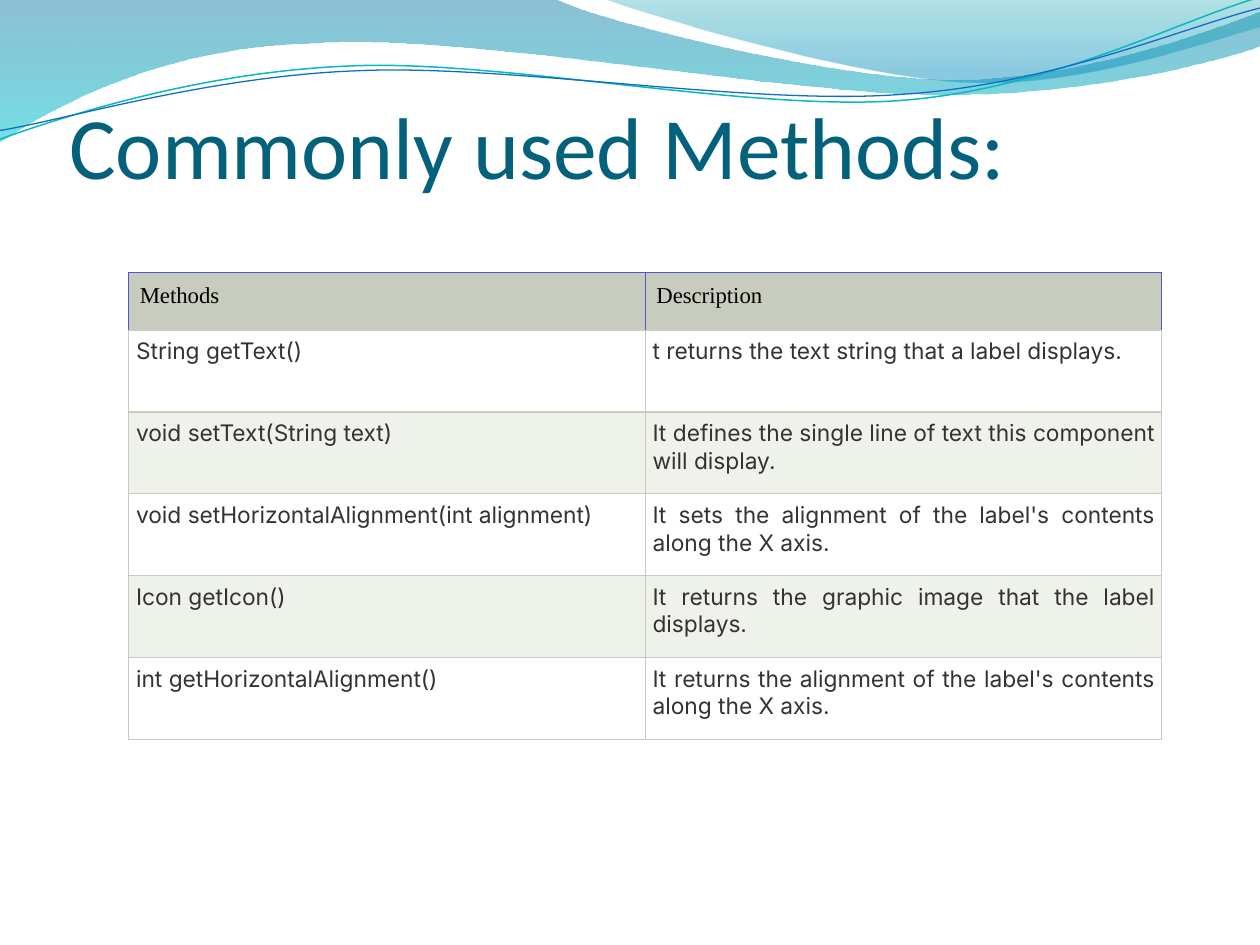
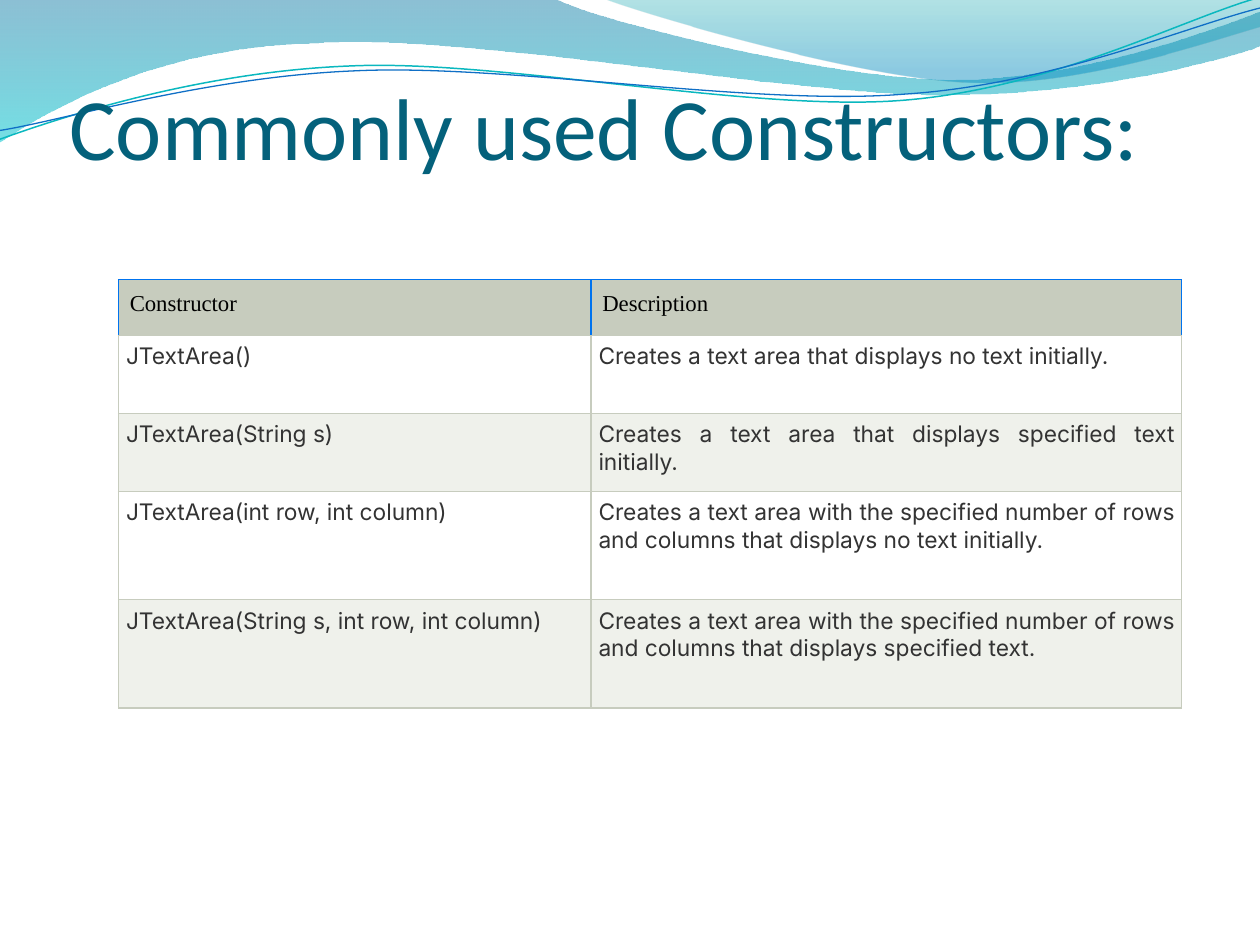
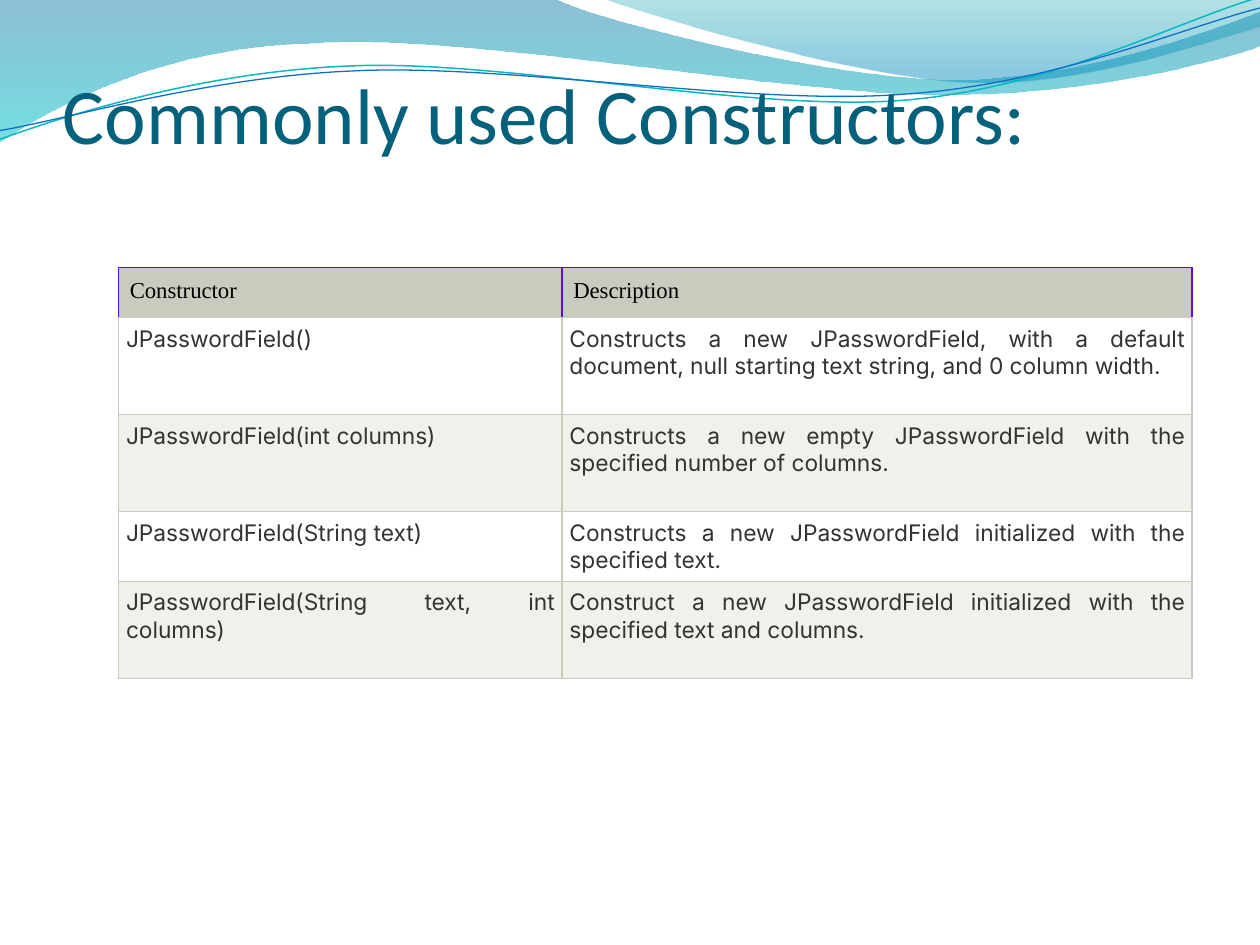
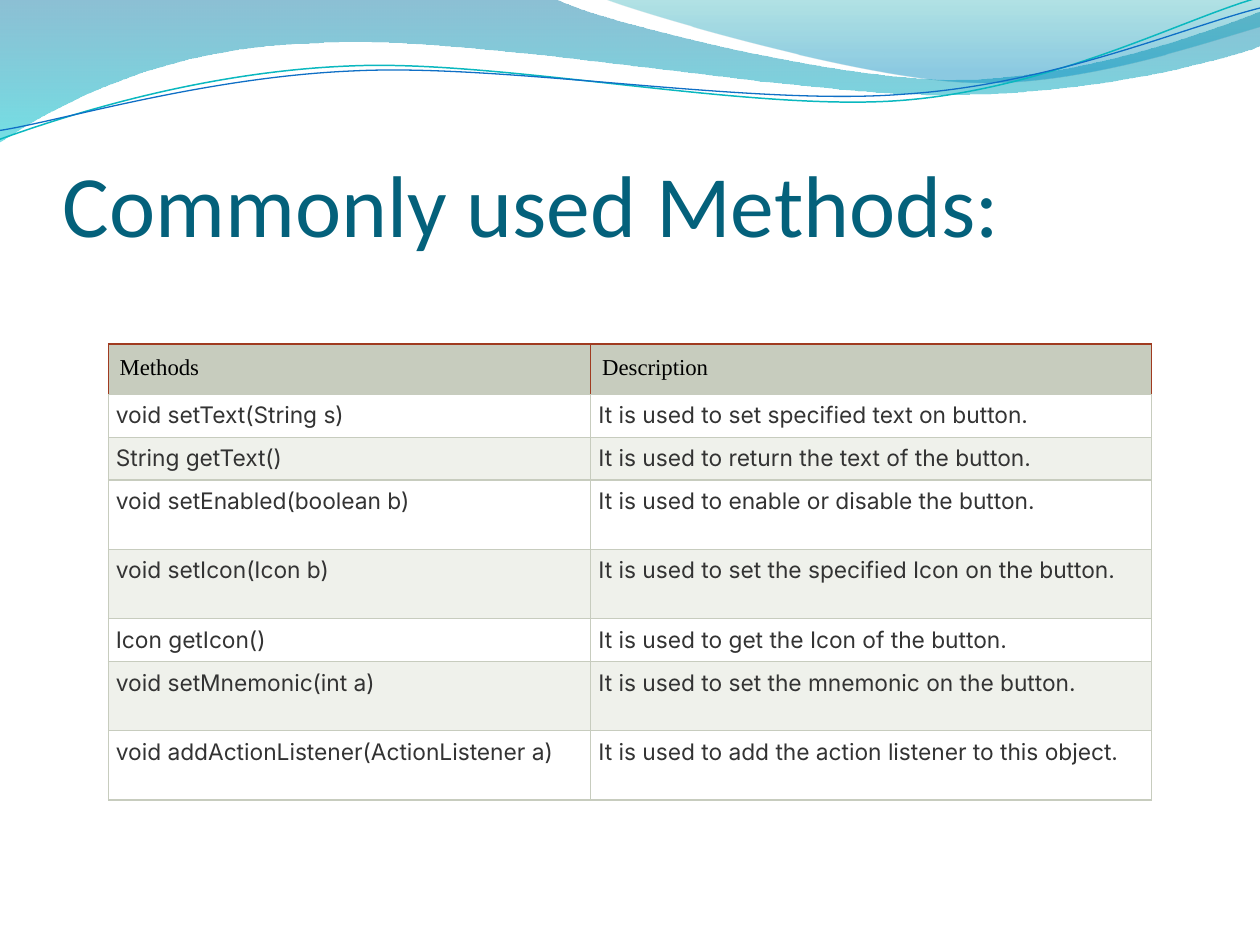
"""Build four slides of Swing method and constructor tables under a wave band."""
from dataclasses import dataclass

from lxml import etree
from pptx import Presentation
from pptx.dml.color import RGBColor
from pptx.enum.text import MSO_ANCHOR, PP_ALIGN
from pptx.oxml.ns import qn
from pptx.shapes.autoshape import Shape
from pptx.slide import Slide, SlideLayout
from pptx.table import _Cell
from pptx.util import Inches, Pt

BOTTOM = MSO_ANCHOR.BOTTOM
LEFT = PP_ALIGN.LEFT
JUSTIFY = PP_ALIGN.JUSTIFY

COLORS = {
    "title": "04617B",
    "header": "C7CCBE",
    "grid": "C7CCBE",
    "stripe": "EFF1EB",
    "plain": "FFFFFF",
    "header text": "000000",
    "body text": "333333",
    "deep blue": "0074A1",
    "turquoise": "00C6CF",
    "teal": "00A1A9",
    "sky": "008BBF",
    "teal line": "0AB8BF",
    "blue line": "0F6FC6",
    "indigo": "5057CD",
    "azure": "0073EF",
    "violet": "6007F2",
    "rust": "A03B20",
}
TITLE_FONT = "Calibri"
HEADER_FONT = "Times New Roman"
BODY_FONT = "Inter"
TABLE_SIZE = 13
LINE_TILT = -2.7

Point = tuple[float, float]
Segment = tuple[Point, ...]


@dataclass(frozen=True)
class GradientStop:
    position: float
    color: str
    opacity: int


@dataclass(frozen=True)
class Wave:
    start: Point
    segments: tuple[Segment, ...]
    stops: tuple[GradientStop, ...] = ()
    line_color: str = ""
    line_width: float = 0


@dataclass(frozen=True)
class TableSlide:
    title: str
    title_left: float
    title_top: float
    title_size: int
    table_left: float
    table_top: float
    accent: str
    column_widths: tuple[float, float]
    row_heights: tuple[float, ...]
    rows: tuple[tuple[str, str], ...]


WAVES = (
    Wave(
        (0, 0),
        (
            ((4.4, -0.01),),
            ((4.76, 0.17), (6.64, 0.63), (7.58, 0.63)),
            ((8.53, 0.63), (9.58, 0.26), (10, 0.09)),
            ((10.01, 0.36),),
            ((9.83, 0.44), (8.7, 0.76), (7.46, 0.75)),
            ((6.22, 0.75), (3.82, 0.28), (2.57, 0.34)),
            ((1.29, 0.36), (0.46, 0.83), (-0.01, 1.13)),
        ),
        stops=(GradientStop(0, "deep blue", 45), GradientStop(1, "turquoise", 55)),
    ),
    Wave(
        (4.79, -0.01),
        (
            ((5.09, 0.11), (6.82, 0.62), (7.69, 0.65)),
            ((8.56, 0.69), (9.61, 0.32), (10, 0.21)),
            ((10, 0),),
        ),
        stops=(GradientStop(0, "teal", 30), GradientStop(0.8, "sky", 45)),
    ),
    Wave(
        (-0.02, 0.87),
        (
            ((0.47, 0.72), (1.58, 0.41), (2.78, 0.42)),
            ((3.96, 0.42), (5.91, 0.93), (7.12, 0.9)),
            ((8.32, 0.87), (9.4, 0.36), (10, 0.22)),
        ),
        line_color="teal line",
        line_width=0.85,
    ),
    Wave(
        (-0.02, 0.8),
        (
            ((0.46, 0.75), (1.64, 0.45), (2.83, 0.46)),
            ((4.03, 0.46), (5.96, 0.89), (7.16, 0.85)),
            ((8.35, 0.83), (9.42, 0.42), (10.02, 0.3)),
        ),
        line_color="blue line",
        line_width=0.75,
    ),
)

SLIDES = (
    TableSlide(
        "Commonly used Methods:", 0.55, 0.31, 50, 1.02, 2.16, "indigo",
        (4.1, 4.1), (0.46, 0.65, 0.65, 0.65, 0.65, 0.65),
        (
            ("Methods", "Description"),
            ("String getText()", "t returns the text string that a label displays."),
            ("void setText(String text)",
             "It defines the single line of text this component will display."),
            ("void setHorizontalAlignment(int alignment)",
             "It sets the alignment of the label's contents along the X axis."),
            ("Icon getIcon()", "It returns the graphic image that the label displays."),
            ("int getHorizontalAlignment()",
             "It returns the alignment of the label's contents along the X axis."),
        ),
    ),
    TableSlide(
        "Commonly used Constructors:", 0.55, 0.16, 50, 0.94, 2.22, "azure",
        (3.75, 4.69), (0.44, 0.62, 0.62, 0.86, 0.86),
        (
            ("Constructor", "Description"),
            ("JTextArea()", "Creates a text area that displays no text initially."),
            ("JTextArea(String s)",
             "Creates a text area that displays specified text initially."),
            ("JTextArea(int row, int column)",
             "Creates a text area with the specified number of rows and columns "
             "that displays no text initially."),
            ("JTextArea(String s, int row, int column)",
             "Creates a text area with the specified number of rows and columns "
             "that displays specified text."),
        ),
    ),
    TableSlide(
        "Commonly used Constructors:", 0.5, 0.02, 45, 0.94, 2.12, "violet",
        (3.52, 5), (0.4, 0.77, 0.77, 0.55, 0.77),
        (
            ("Constructor", "Description"),
            ("JPasswordField()",
             "Constructs a new JPasswordField, with a default document, "
             "null starting text string, and 0 column width."),
            ("JPasswordField(int columns)",
             "Constructs a new empty JPasswordField with the specified number of columns."),
            ("JPasswordField(String text)",
             "Constructs a new JPasswordField initialized with the specified text."),
            ("JPasswordField(String text, int columns)",
             "Construct a new JPasswordField initialized with the specified text and columns."),
        ),
    ),
    TableSlide(
        "Commonly used Methods:", 0.5, 0.77, 50, 0.86, 2.73, "rust",
        (3.83, 4.45), (0.4, 0.34, 0.34, 0.55, 0.55, 0.34, 0.55, 0.55),
        (
            ("Methods", "Description"),
            ("void setText(String s)", "It is used to set specified text on button."),
            ("String getText()", "It is used to return the text of the button."),
            ("void setEnabled(boolean b)", "It is used to enable or disable the button."),
            ("void setIcon(Icon b)", "It is used to set the specified Icon on the button."),
            ("Icon getIcon()", "It is used to get the Icon of the button."),
            ("void setMnemonic(int a)", "It is used to set the mnemonic on the button."),
            ("void addActionListener(ActionListener a)",
             "It is used to add the action listener to this object."),
        ),
    ),
)


def rgb(name: str) -> RGBColor:
    return RGBColor.from_string(COLORS[name])


def bend_curves(band: Shape, segments: tuple[Segment, ...]) -> None:
    steps = iter(list(band.element.spPr.iter(qn("a:lnTo"))))
    for segment in segments:
        first, *others = [next(steps) for _ in segment]
        if others:
            curve = etree.Element(qn("a:cubicBezTo"))
            first.addprevious(curve)
            for step in (first, *others):
                curve.append(step[0])
                step.getparent().remove(step)


def fill_gradient(band: Shape, stops: tuple[GradientStop, ...]) -> None:
    band.fill.gradient()
    band.fill.gradient_angle = 270
    for target, stop in zip(band.fill.gradient_stops, stops):
        target.color.rgb = rgb(stop.color)
        target.position = stop.position
    gradient = band.element.spPr.find(qn("a:gradFill"))
    for color, stop in zip(gradient.iter(qn("a:srgbClr")), stops):
        etree.SubElement(color, qn("a:alpha"), val=str(stop.opacity * 1000))


def draw_wave(slide: Slide, wave: Wave) -> Shape:
    points = [wave.start, *(point for segment in wave.segments for point in segment)]
    vertices = [(Inches(x), Inches(y)) for x, y in points]
    builder = slide.shapes.build_freeform(*vertices[0])
    builder.add_line_segments(vertices[1:], close=bool(wave.stops))
    band = builder.convert_to_shape()
    bend_curves(band, wave.segments)
    band.shadow.inherit = False
    if wave.stops:
        fill_gradient(band, wave.stops)
        band.line.fill.background()
    else:
        band.rotation = LINE_TILT
        band.fill.background()
        band.line.color.rgb = rgb(wave.line_color)
        band.line.width = Pt(wave.line_width)
    return band


def share_waves(slide: Slide, layout: SlideLayout) -> None:
    for placeholder in list(layout.placeholders):
        placeholder.element.getparent().remove(placeholder.element)
    waves = [draw_wave(slide, wave) for wave in WAVES]
    for wave in waves:
        layout.shapes.element.append(wave.element)


def draw_title(slide: Slide, content: TableSlide) -> None:
    title = slide.shapes.add_textbox(
        Inches(content.title_left), Inches(content.title_top), Inches(9), Inches(1.25)
    )
    frame = title.text_frame
    frame.word_wrap = True
    frame.vertical_anchor = BOTTOM
    frame.margin_left = frame.margin_right = frame.margin_bottom = 0
    frame.margin_top = Inches(0.05)
    heading = frame.paragraphs[0]
    heading.text = content.title
    heading.font.name = TITLE_FONT
    heading.font.size = Pt(content.title_size)
    heading.font.color.rgb = rgb("title")


def set_borders(cell: _Cell, side_color: str) -> None:
    properties = cell._tc.get_or_add_tcPr()
    edges = {"lnL": side_color, "lnR": side_color, "lnT": side_color, "lnB": "grid"}
    for index, (edge, color) in enumerate(edges.items()):
        border = etree.Element(qn(f"a:{edge}"), w=str(Pt(0.75)))
        fill = etree.SubElement(border, qn("a:solidFill"))
        etree.SubElement(fill, qn("a:srgbClr"), val=COLORS[color])
        properties.insert(index, border)


def fill_cell(cell: _Cell, text: str, row: int, accent: str) -> None:
    is_header = row == 0
    margin = Inches(0.09 if is_header else 0.06)
    cell.margin_left = cell.margin_right = margin
    cell.margin_top = cell.margin_bottom = margin
    cell.fill.solid()
    background = "header" if is_header else "plain" if row % 2 else "stripe"
    cell.fill.fore_color.rgb = rgb(background)
    set_borders(cell, accent if is_header else "grid")
    entry = cell.text_frame.paragraphs[0]
    entry.text = text
    entry.alignment = LEFT if is_header else JUSTIFY
    entry.font.name = HEADER_FONT if is_header else BODY_FONT
    entry.font.size = Pt(TABLE_SIZE)
    entry.font.color.rgb = rgb("header text" if is_header else "body text")


def draw_table(slide: Slide, content: TableSlide) -> None:
    table = slide.shapes.add_table(
        len(content.rows), len(content.column_widths),
        Inches(content.table_left), Inches(content.table_top),
        Inches(sum(content.column_widths)), Inches(sum(content.row_heights)),
    ).table
    table.first_row = False
    table.horz_banding = False
    for column, width in zip(table.columns, content.column_widths):
        column.width = Inches(width)
    for row, height in zip(table.rows, content.row_heights):
        row.height = Inches(height)
    for row_index, texts in enumerate(content.rows):
        for column_index, text in enumerate(texts):
            fill_cell(table.cell(row_index, column_index), text, row_index, content.accent)


def main() -> None:
    deck = Presentation()
    deck.slide_width = Inches(10)
    deck.slide_height = Inches(7.5)
    blank = deck.slide_layouts[6]
    slides = [deck.slides.add_slide(blank) for _ in SLIDES]
    share_waves(slides[0], blank)
    for slide, content in zip(slides, SLIDES):
        draw_title(slide, content)
        draw_table(slide, content)
    deck.save("out.pptx")


if __name__ == "__main__":
    main()
